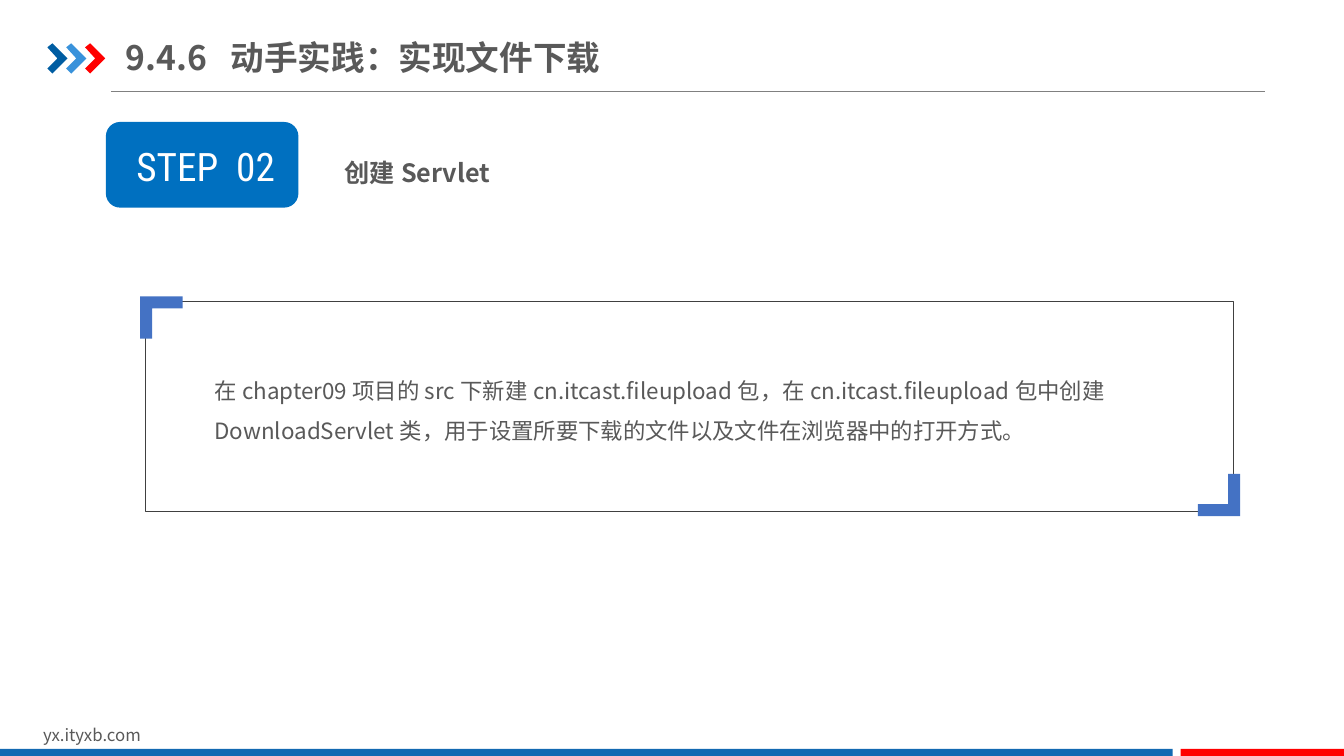
from lxml.etree import SubElement
from pptx import Presentation
from pptx.dml.color import RGBColor
from pptx.enum.shapes import MSO_CONNECTOR, MSO_SHAPE
from pptx.enum.text import MSO_ANCHOR, PP_ALIGN
from pptx.oxml.ns import qn
from pptx.util import Inches, Pt

W, H = 13.33, 7.5
SANS, CONDENSED = "Noto Sans CJK SC", "Roboto Condensed"
COLORS = {
    "text": "595959", "white": "FFFFFF", "rule": "808080", "frame": "404040",
    "navy": "005DA2", "sky": "3992DB", "red": "FF0000", "footer": "1369B2",
    "step": "0070C0", "corner": "4472C4",
}


def rgb(name):
    """Return the named palette colour."""
    return RGBColor.from_string(COLORS[name])


def add_text(s, box, text, size, color="text", font=SANS, bold=False,
             align=PP_ALIGN.LEFT, anchor=MSO_ANCHOR.TOP, spacing=None, inset=0.1):
    """Add a wrapped text box holding one run."""
    tf = s.shapes.add_textbox(*map(Inches, box)).text_frame
    tf.word_wrap = True
    tf.vertical_anchor = anchor
    tf.margin_left = tf.margin_right = Inches(inset)
    p = tf.paragraphs[0]
    p.alignment = align
    if spacing:
        p.line_spacing = spacing
    r = p.add_run()
    r.text = text
    r.font.name, r.font.size, r.font.bold = font, Pt(size), bold
    r.font.color.rgb = rgb(color)
    SubElement(r.font._element, qn("a:ea"), typeface=font)


def paint(sp, fill=None, line=None, width=0.25):
    """Set the fill and outline of a shape and remove its shadow."""
    sp.shadow.inherit = False
    if fill:
        sp.fill.solid()
        sp.fill.fore_color.rgb = rgb(fill)
    else:
        sp.fill.background()
    if line:
        sp.line.color.rgb = rgb(line)
        sp.line.width = Pt(width)
    else:
        sp.line.fill.background()


def add_box(s, kind, box, **style):
    """Add a painted preset shape."""
    sp = s.shapes.add_shape(kind, *map(Inches, box))
    paint(sp, **style)
    return sp


def add_outline(s, points, fill):
    """Add a filled polygon through points given in inches."""
    points = [(Inches(x), Inches(y)) for x, y in points]
    fb = s.shapes.build_freeform(*points[0])
    fb.add_line_segments(points[1:], close=True)
    paint(fb.convert_to_shape(), fill)


def add_header(s, x, y, w, h, title):
    """Place the chevrons, the title and the rule below them."""
    line = s.shapes.add_connector(MSO_CONNECTOR.STRAIGHT, Inches(x + 0.63), Inches(y + h),
                                  Inches(x + w), Inches(y + h))
    line.line.color.rgb = rgb("rule")
    line.line.width = Pt(0.5)
    SubElement(line._element.spPr, qn("a:effectLst"))
    chevron = [(0, 0.04), (0.05, 0), (0.2, 0.15), (0.05, 0.3), (0, 0.25), (0.1, 0.15)]
    for i, color in enumerate(("navy", "sky", "red")):
        left = x + i * 0.187
        add_outline(s, [(left + dx, y + 0.14 + dy) for dx, dy in chevron], color)
    add_text(s, (x + 0.78, y, 4.87, 0.55), title, 24, bold=True,
             anchor=MSO_ANCHOR.MIDDLE, inset=0)


def add_footer(s, x, y, w, h, site):
    """Place the site address above a two-colour bar."""
    add_text(s, (x + 0.33, y, 3.18, 0.3), site, 12)
    bar_y, bar_h = y + h - 0.07, 0.07
    blue, gap = 11.63, 0.08
    add_box(s, MSO_SHAPE.RECTANGLE, (x, bar_y, blue, bar_h), fill="footer")
    add_box(s, MSO_SHAPE.RECTANGLE, (x + blue + gap, bar_y, w - blue - gap, bar_h), fill="red")


def add_step(s, x, y, w, h, label, heading):
    """Place the step badge and the heading to its right."""
    badge_w = 1.91
    add_box(s, MSO_SHAPE.ROUNDED_RECTANGLE, (x, y, badge_w, h), fill="step")
    add_text(s, (x + 0.1, y + 0.15, 1.78, 0.57), label, 28, "white", CONDENSED,
             align=PP_ALIGN.CENTER)
    left = badge_w + 0.36
    add_text(s, (x + left, y + 0.15, w - left, 0.56), heading, 18, bold=True, spacing=1.5)


def add_card(s, x, y, w, h, text):
    """Place the text in a thin frame with two opposite corner marks."""
    add_text(s, (x + 0.59, y + 0.57, w - 0.71, 0.91), text, 16, spacing=1.5)
    add_box(s, MSO_SHAPE.RECTANGLE, (x, y, w, h), line="frame")
    out, arm, thick = 0.05, 0.42, 0.12
    mark = [(0, 0), (arm, 0), (arm, thick), (thick, thick), (thick, arm), (0, arm)]
    corners = ((x - out, y - out, 1), (x + w + out + 0.02, y + h + out, -1))
    for cx, cy, sign in corners:
        add_outline(s, [(cx + sign * dx, cy + sign * dy) for dx, dy in mark], "corner")


def main():
    """Build the slide and save it."""
    prs = Presentation()
    prs.slide_width, prs.slide_height = Inches(W), Inches(H)
    s = prs.slides.add_slide(prs.slide_layouts[6])
    add_header(s, 0.47, 0.29, 12.08, 0.62, "9.4.6  动手实践：实现文件下载")
    add_footer(s, 0, 7.14, W, H - 7.14, "yx.ityxb.com")
    add_step(s, 1.05, 1.21, 4.84, 0.85, "STEP  02", "创建Servlet")
    add_card(s, 1.44, 2.99, 10.79, 2.08,
             "在chapter09项目的src下新建cn.itcast.fileupload包，在cn.itcast.fileupload包中创建"
             "DownloadServlet类，用于设置所要下载的文件以及文件在浏览器中的打开方式。")
    prs.save("out.pptx")


if __name__ == "__main__":
    main()
